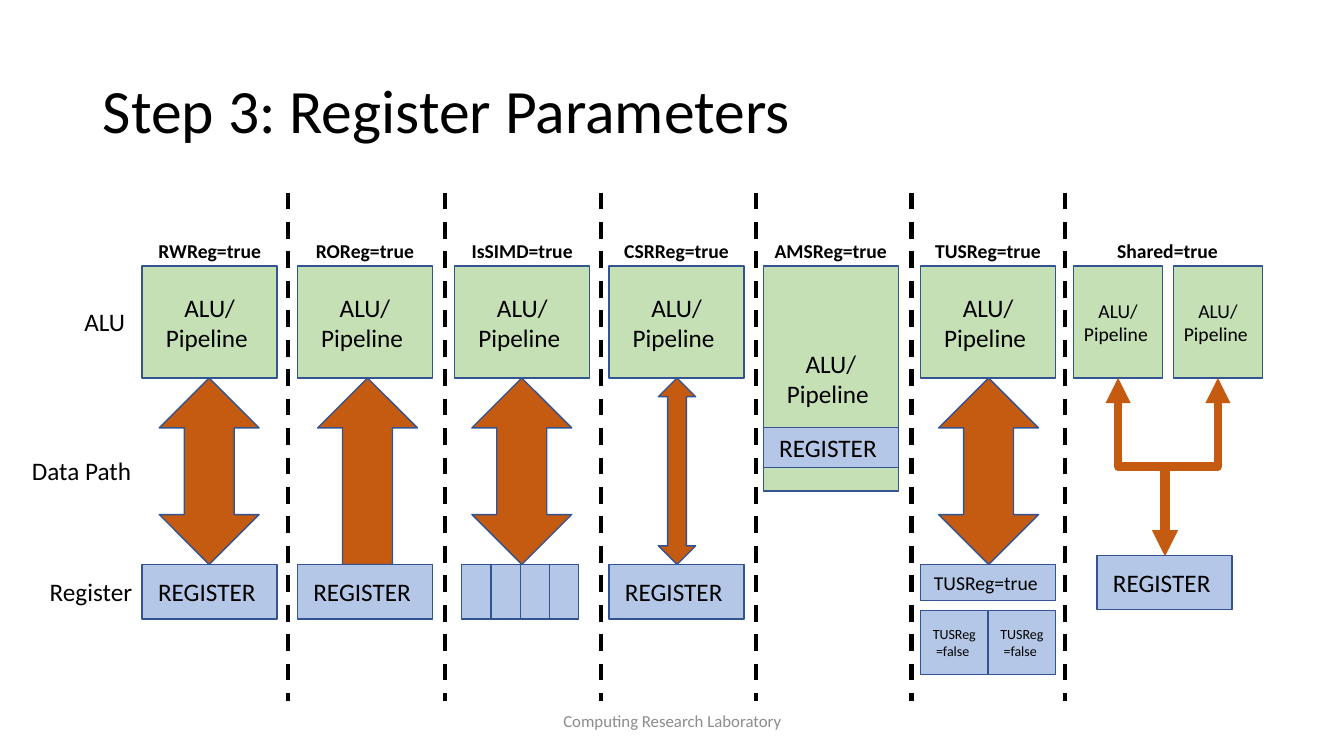
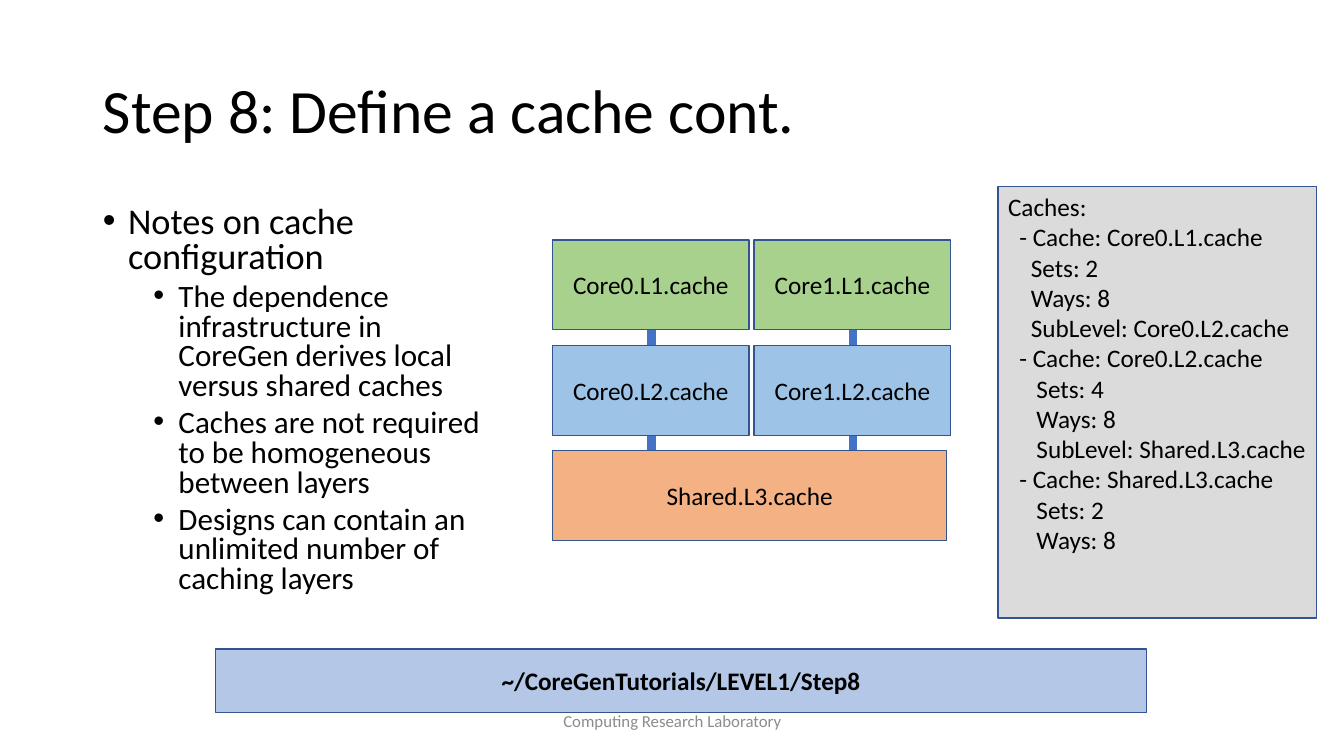
"""Build two slides on register parameters and cache definition."""
from lxml.etree import SubElement
from pptx import Presentation
from pptx.dml.color import RGBColor
from pptx.enum.dml import MSO_LINE
from pptx.enum.shapes import MSO_CONNECTOR, MSO_SHAPE
from pptx.enum.text import MSO_ANCHOR, MSO_AUTO_SIZE, PP_ALIGN
from pptx.oxml.ns import qn
from pptx.util import Pt

PX = 9144
FONT = "Calibri"
COLORS = {
    "text": "000000", "footer": "8C8C8C", "outline": "325491",
    "alu": "C5E0B4", "register": "B4C7E7", "path": "C55A11",
    "level1": "A9D18E", "level2": "9DC3E6", "level3": "F4B183",
    "link": "4472C4", "code": "DBDBDB",
}
TITLE_AREA = (92, 40, 1150, 145)
FOOTER_AREA = (442, 695, 450, 40)
FOOTER = "Computing Research Laboratory"

REGISTER_TITLE = "Step 3: Register Parameters"
ALU_LINES = ["ALU/", "Pipeline "]
REGISTER = "REGISTER "
ROW_LABELS = [("ALU", 0, 299, 134), ("Data Path", 6, 447, 134), ("Register", 23, 567, 118)]
DIVIDERS = [286, 441, 596, 750, 904, 1056]
COLUMN_WIDTH = 134
ALU_TOP, ALU_HEIGHT = 264, 111
PATH_TOP, PATH_HEIGHT = ALU_TOP + ALU_HEIGHT, 185
REGISTER_TOP, REGISTER_HEIGHT = PATH_TOP + PATH_HEIGHT, 54
COLUMNS = [
    ("RWReg=true", 141),
    ("ROReg=true", 295),
    ("IsSIMD=true", 451),
    ("CSRReg=true", 604),
    ("AMSReg=true", 757),
    ("TUSReg=true", 913),
    ("Shared=true", 1091),
]
ALUS = [
    (141, COLUMN_WIDTH, ALU_HEIGHT, 18),
    (295, COLUMN_WIDTH, ALU_HEIGHT, 18),
    (451, COLUMN_WIDTH, ALU_HEIGHT, 18),
    (604, COLUMN_WIDTH, ALU_HEIGHT, 18),
    (757, COLUMN_WIDTH, 223, 18),
    (913, COLUMN_WIDTH, ALU_HEIGHT, 18),
    (1065, 88, ALU_HEIGHT, 14),
    (1164, 88, ALU_HEIGHT, 14),
]
PATHS = [
    (MSO_SHAPE.UP_DOWN_ARROW, 158, 99),
    (MSO_SHAPE.UP_ARROW, 315, 99),
    (MSO_SHAPE.UP_DOWN_ARROW, 468, 99),
    (MSO_SHAPE.UP_DOWN_ARROW, 653, 37),
    (MSO_SHAPE.UP_DOWN_ARROW, 931, 99),
]
REGISTERS = [
    (REGISTER, 141, REGISTER_TOP, COLUMN_WIDTH, REGISTER_HEIGHT, 18),
    (REGISTER, 295, REGISTER_TOP, COLUMN_WIDTH, REGISTER_HEIGHT, 18),
    (REGISTER, 604, REGISTER_TOP, COLUMN_WIDTH, REGISTER_HEIGHT, 18),
    (REGISTER, 757, 424, COLUMN_WIDTH, 40, 18),
    ("TUSReg=true ", 913, REGISTER_TOP, COLUMN_WIDTH, 36, 14),
    ("TUSReg=false ", 913, 606, 67, 63, 10),
    ("TUSReg=false ", 980, 606, 67, 63, 10),
    (REGISTER, 1088, 551, COLUMN_WIDTH, REGISTER_HEIGHT, 18),
]
SIMD_LEFT, SIMD_WIDTH, SIMD_LANES = 458, 117, 4
SHARED_STARTS = [1109, 1208]
SHARED_END = (1156, 551)

CACHE_TITLE = "Step 8: Define a cache cont."
NOTES_AREA = (92, 200, 410, 432)
NOTES = [
    (0, "Notes on cache configuration"),
    (1, "The dependence infrastructure in CoreGen derives local versus shared caches"),
    (1, "Caches are not required to be homogeneous between layers"),
    (1, "Designs can contain an unlimited number of caching layers"),
]
NOTE_LEVELS = [
    {"size": 25.9, "before": 10, "margin": 25},
    {"size": 22.2, "before": 5, "margin": 75},
]
CACHE_WIDTH, CACHE_HEIGHT = 195, 89
CACHE_TOPS = [238, 343, 447]
CORES = [("Core0", 548), ("Core1", 748)]
SHARED_CACHE = ("Shared.L3.cache", 548, 391)
CODE_AREA = (990, 185, 316, 428)
CODE = [
    "Caches:",
    "  - Cache: Core0.L1.cache",
    "    Sets: 2",
    "    Ways: 8",
    "    SubLevel: Core0.L2.cache",
    "  - Cache: Core0.L2.cache",
    "     Sets: 4",
    "     Ways: 8",
    "     SubLevel: Shared.L3.cache",
    "  - Cache: Shared.L3.cache",
    "     Sets: 2",
    "     Ways: 8",
]
FOLDER = "~/CoreGenTutorials/LEVEL1/Step8"
FOLDER_AREA = (214, 644, 923, 63)


def color(name):
    return RGBColor.from_string(COLORS[name])


def scaled(lengths):
    return [length * PX for length in lengths]


def set_all(target, formats):
    for name, value in formats.items():
        setattr(target, name, value)


def place(shape, area):
    set_all(shape, dict(zip(("left", "top", "width", "height"), scaled(area))))


def write(frame, lines, size=18, align=PP_ALIGN.CENTER, anchor=MSO_ANCHOR.MIDDLE,
          bold=False, ink="text"):
    set_all(frame, {"word_wrap": True, "auto_size": MSO_AUTO_SIZE.NONE,
                    "vertical_anchor": anchor})
    for index, line in enumerate(lines):
        para = frame.add_paragraph() if index else frame.paragraphs[0]
        para.alignment = align
        span = para.add_run()
        span.text = line
        set_all(span.font, {"name": FONT, "size": Pt(size), "bold": bold})
        span.font.color.rgb = color(ink)


def add_box(page, area, fill, lines=(), kind=MSO_SHAPE.RECTANGLE, **style):
    box = page.shapes.add_shape(kind, *scaled(area))
    box.shadow.inherit = False
    box.fill.solid()
    box.fill.fore_color.rgb = color(fill)
    box.line.color.rgb = color("outline")
    box.line.width = Pt(1)
    if lines:
        write(box.text_frame, lines, **style)


def add_label(page, area, text, **style):
    box = page.shapes.add_textbox(*scaled(area))
    write(box.text_frame, [text], **style)


def add_line(page, start, end, ink, width, kind=MSO_CONNECTOR.STRAIGHT):
    line = page.shapes.add_connector(kind, *scaled(start + end))
    line.line.color.rgb = color(ink)
    line.line.width = Pt(width)
    SubElement(line._element.spPr, qn("a:effectLst"))
    return line


def add_branch(page, start, end):
    middle_x, middle_y = (start[0] + end[0]) / 2, (start[1] + end[1]) / 2
    half_width, half_height = (end[1] - start[1]) / 2, abs(end[0] - start[0]) / 2
    side = 1 if start[0] < end[0] else -1
    first = (round(middle_x + side * half_width), round(middle_y - half_height))
    last = (round(middle_x - side * half_width), round(middle_y + half_height))
    branch = add_line(page, first, last, "path", 6, MSO_CONNECTOR.ELBOW)
    properties = branch._element.spPr
    properties.find(qn("a:xfrm")).set("rot", str((270 if side > 0 else 90) * 60000))
    for end_name in ("a:headEnd", "a:tailEnd"):
        SubElement(properties.find(qn("a:ln")), qn(end_name), type="triangle")


def new_page(deck, layout, title):
    page = deck.slides.add_slide(deck.slide_layouts[layout])
    place(page.shapes.title, TITLE_AREA)
    write(page.shapes.title.text_frame, [title], size=44, align=PP_ALIGN.LEFT)
    page.shapes.title.text_frame.paragraphs[0].line_spacing = 0.9
    add_label(page, FOOTER_AREA, FOOTER, size=12, ink="footer")
    return page


def build_registers(deck):
    page = new_page(deck, 5, REGISTER_TITLE)
    for text, left, top, width in ROW_LABELS:
        add_label(page, (left, top, width, 40), text, align=PP_ALIGN.RIGHT,
                  anchor=MSO_ANCHOR.TOP)
    for x in DIVIDERS:
        divider = add_line(page, (x, 191), (x, 695), "text", 3)
        divider.line.dash_style = MSO_LINE.DASH
    for text, left in COLUMNS:
        add_label(page, (left, 232, COLUMN_WIDTH, 34), text, size=14, bold=True,
                  anchor=MSO_ANCHOR.TOP)
    for left, width, height, size in ALUS:
        add_box(page, (left, ALU_TOP, width, height), "alu", ALU_LINES, size=size)
    for kind, left, width in PATHS:
        add_box(page, (left, PATH_TOP, width, PATH_HEIGHT), "path", kind=kind)
    for text, left, top, width, height, size in REGISTERS:
        add_box(page, (left, top, width, height), "register", [text], size=size)
    for lane in range(SIMD_LANES):
        left = SIMD_LEFT + lane * SIMD_WIDTH // SIMD_LANES
        add_box(page, (left, REGISTER_TOP, SIMD_WIDTH // SIMD_LANES, REGISTER_HEIGHT),
                "register")
    for x in SHARED_STARTS:
        add_branch(page, (x, PATH_TOP), SHARED_END)


def write_notes(page):
    body = page.placeholders[1]
    place(body, NOTES_AREA)
    write(body.text_frame, [text for _, text in NOTES], align=PP_ALIGN.LEFT,
          anchor=MSO_ANCHOR.TOP)
    for index, (level, _) in enumerate(NOTES):
        para = body.text_frame.paragraphs[index]
        style = NOTE_LEVELS[level]
        set_all(para, {"level": level, "line_spacing": 0.8,
                       "space_before": Pt(style["before"] if index else 0)})
        properties = para._p.get_or_add_pPr()
        properties.set("marL", str(style["margin"] * PX))
        properties.set("indent", str(-25 * PX))
        SubElement(properties, qn("a:buChar"), char="•")
        para.runs[0].font.size = Pt(style["size"])


def build_cache(deck):
    page = new_page(deck, 1, CACHE_TITLE)
    write_notes(page)
    add_box(page, FOLDER_AREA, "register", [FOLDER], bold=True)
    add_box(page, CODE_AREA, "code", CODE, align=PP_ALIGN.LEFT, anchor=MSO_ANCHOR.TOP)
    for core, left in CORES:
        center = left + CACHE_WIDTH // 2 + 1
        for upper, lower in zip(CACHE_TOPS, CACHE_TOPS[1:]):
            add_line(page, (center, upper + CACHE_HEIGHT), (center, lower), "link", 6)
        for level, top in enumerate(CACHE_TOPS[:2], 1):
            add_box(page, (left, top, CACHE_WIDTH, CACHE_HEIGHT), f"level{level}",
                    [f"{core}.L{level}.cache"])
    text, left, width = SHARED_CACHE
    add_box(page, (left, CACHE_TOPS[2], width, CACHE_HEIGHT), "level3", [text])


def main():
    deck = Presentation()
    set_all(deck, {"slide_width": 1333 * PX, "slide_height": 750 * PX})
    build_registers(deck)
    build_cache(deck)
    deck.save("out.pptx")


if __name__ == "__main__":
    main()
